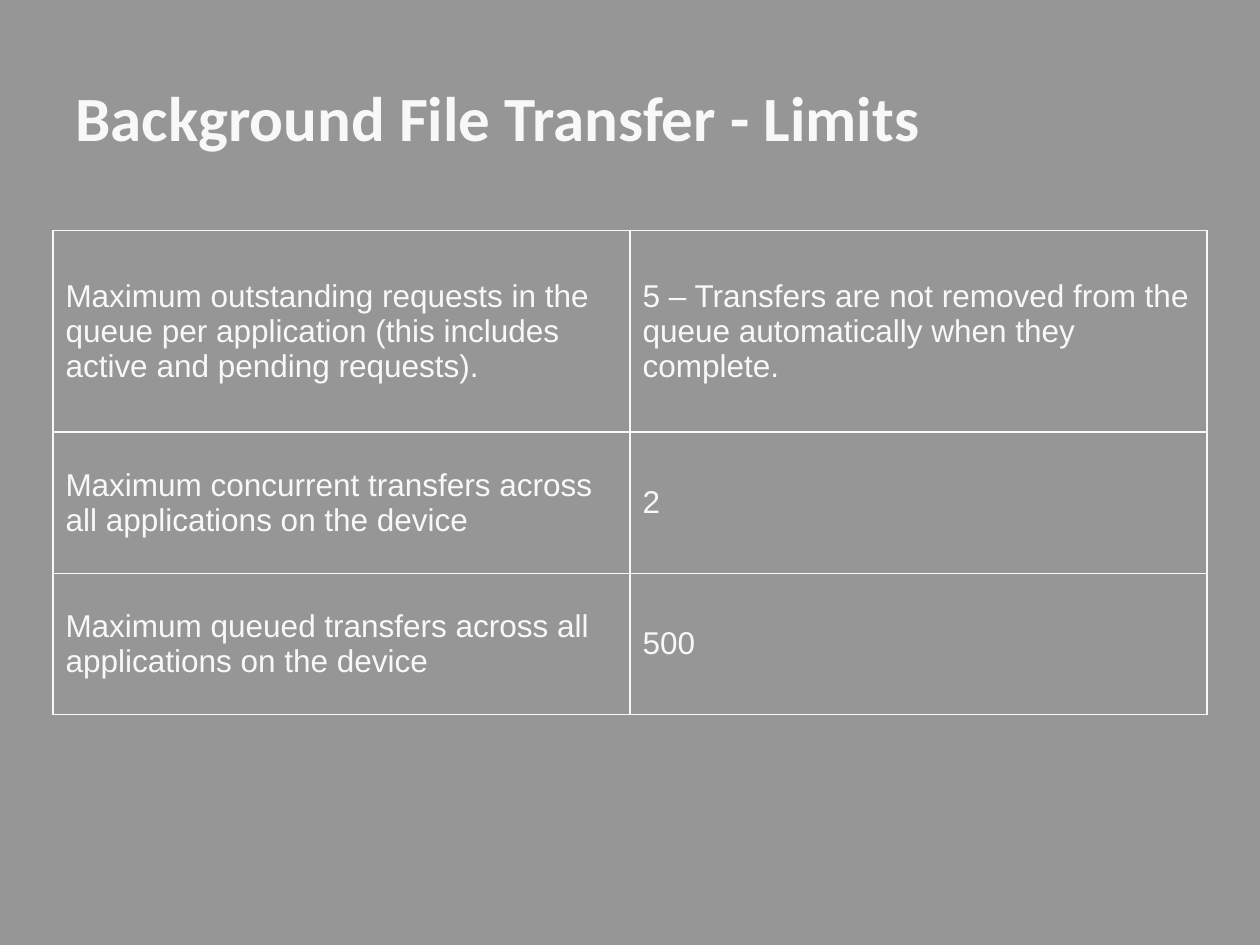
from typing import NamedTuple

from lxml.etree import SubElement
from pptx import Presentation
from pptx.dml.color import RGBColor
from pptx.enum.text import MSO_ANCHOR
from pptx.oxml.ns import qn
from pptx.util import Inches, Pt

BACKGROUND = "969696"
FOREGROUND = "F8F8F8"
COLUMN_WIDTH = 4.58


class Limit(NamedTuple):
    description: str
    value: str
    height: float


LIMITS = [
    Limit("Maximum outstanding requests in the queue per application "
          "(this includes active and pending requests).",
          "5 – Transfers are not removed from the queue automatically "
          "when they complete.", 1.6),
    Limit("Maximum concurrent transfers across all applications on the device",
          "2", 1.12),
    Limit("Maximum queued transfers across all applications on the device",
          "500", 1.12),
]


def color(value: str) -> RGBColor:
    return RGBColor.from_string(value)


def style_paragraph(paragraph, name: str, size: float, bold: bool) -> None:
    font = paragraph.font
    font.name = name
    font.size = Pt(size)
    font.bold = bold
    font.color.rgb = color(FOREGROUND)


def add_borders(cell, line_color: str, width: float) -> None:
    properties = cell._tc.get_or_add_tcPr()
    for position, side in enumerate(("lnL", "lnR", "lnT", "lnB")):
        line = SubElement(properties, qn(f"a:{side}"), w=str(Pt(width)))
        fill = SubElement(line, qn("a:solidFill"))
        SubElement(fill, qn("a:srgbClr"), val=line_color)
        properties.insert(position, line)  # borders come before the fill


def add_title(slide, text: str) -> None:
    title = slide.shapes.add_textbox(Inches(0.5), Inches(0.3), Inches(9), Inches(1.25))
    frame = title.text_frame
    frame.word_wrap = True
    frame.vertical_anchor = MSO_ANCHOR.MIDDLE
    frame.text = text
    style_paragraph(frame.paragraphs[0], "Calibri", 36, True)


def fill_cell(cell, text: str) -> None:
    cell.text = text
    cell.vertical_anchor = MSO_ANCHOR.MIDDLE
    cell.fill.background()
    add_borders(cell, FOREGROUND, 1)
    style_paragraph(cell.text_frame.paragraphs[0], "Arial", 18, False)


def add_limits_table(slide, limits: list[Limit]) -> None:
    table = slide.shapes.add_table(
        len(limits), 2, Inches(0.42), Inches(1.83), Inches(2 * COLUMN_WIDTH),
        Inches(sum(limit.height for limit in limits))).table
    table.first_row = False
    table.horz_banding = False
    for column in table.columns:
        column.width = Inches(COLUMN_WIDTH)
    for row, limit in zip(table.rows, limits):
        row.height = Inches(limit.height)
        for cell, text in zip(row.cells, (limit.description, limit.value)):
            fill_cell(cell, text)


def main() -> None:
    presentation = Presentation()
    presentation.slide_width = Inches(10)
    presentation.slide_height = Inches(7.5)
    slide = presentation.slides.add_slide(presentation.slide_layouts[6])

    # Background
    slide.background.fill.solid()
    slide.background.fill.fore_color.rgb = color(BACKGROUND)

    # Title and table of limits
    add_title(slide, "Background File Transfer - Limits")
    add_limits_table(slide, LIMITS)

    presentation.save("out.pptx")


if __name__ == "__main__":
    main()
